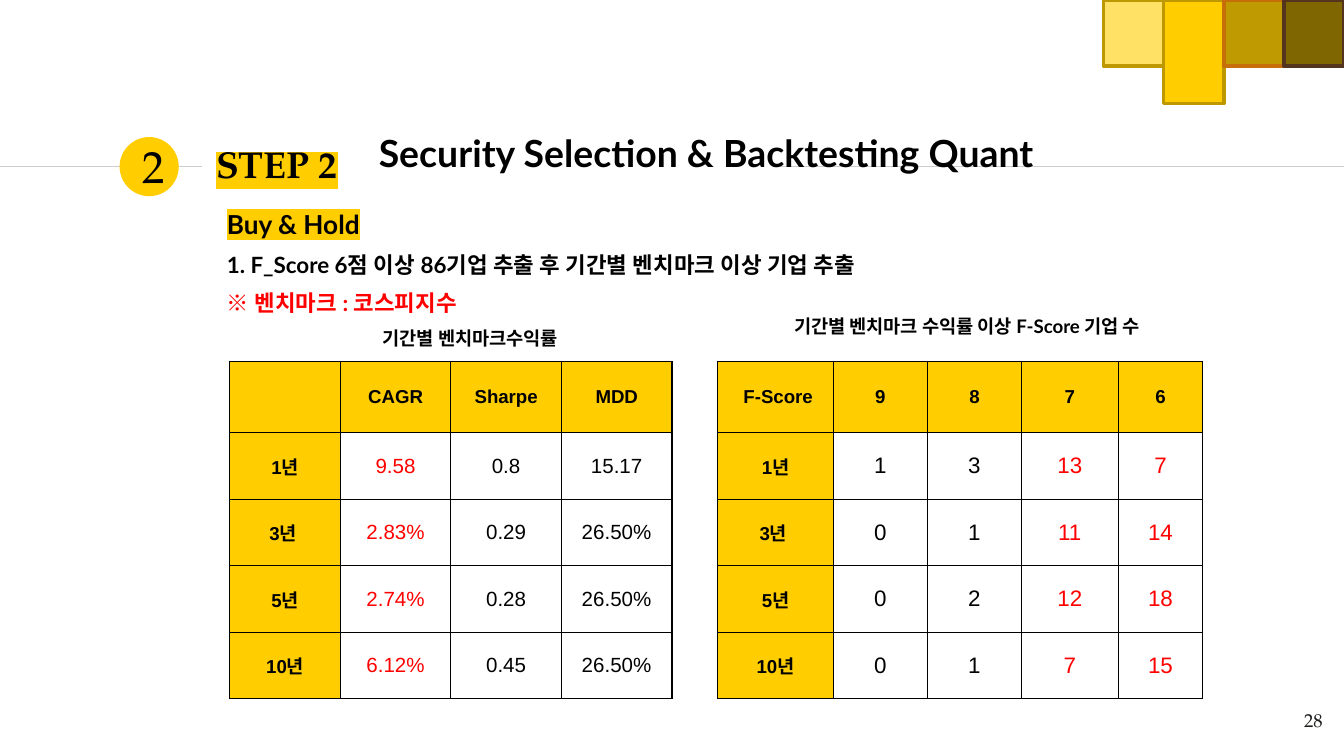
from dataclasses import dataclass

import pptx
import pptx.dml.color
import pptx.enum.shapes
import pptx.enum.text
import pptx.oxml.ns
import pptx.util
from lxml import etree

Inches = pptx.util.Inches
Pt = pptx.util.Pt
Align = pptx.enum.text.PP_ALIGN
Anchor = pptx.enum.text.MSO_ANCHOR
ShapeType = pptx.enum.shapes.MSO_SHAPE
qn = pptx.oxml.ns.qn

COLORS = {
    "yellow": "FFCD00", "black": "000000", "red": "FF0000",
    "rule": "CCCCCC", "number": "1D1D1B",
    "pale": "FFE166", "gold": "BF9A00", "olive": "806600",
    "gold edge": "BD9800", "orange edge": "C66F08", "brown edge": "54341D",
}
SERIF, SANS, TABLE_FONT = "TeX Gyre Pagella", "Lato", "Arial"


@dataclass
class Line:
    text: str
    size: float
    font: str = SANS
    color: str = "black"
    bold: bool = True
    highlight: bool = False
    indent: float = 0
    align: Align = Align.LEFT


@dataclass
class Tile:
    height: float
    fill: str
    edge: str


@dataclass
class Grid:
    left: float
    columns: list[float]
    rows: list[list[str]]
    value_size: float
    red_columns: tuple[int, ...]


def rgb(name: str) -> pptx.dml.color.RGBColor:
    return pptx.dml.color.RGBColor.from_string(COLORS[name])


def write_line(paragraph, line: Line) -> None:
    paragraph.alignment = line.align
    if line.indent:
        properties = paragraph._p.get_or_add_pPr()
        properties.set("marL", str(Inches(line.indent)))
        properties.set("indent", "0")
    run = paragraph.add_run()
    run.text = line.text
    run.font.size = Pt(line.size)
    run.font.bold = line.bold
    run.font.name = line.font
    run.font.color.rgb = rgb(line.color)
    if line.font == SANS:
        # Korean text takes the same typeface
        etree.SubElement(run._r.rPr, qn("a:ea"), typeface=SANS)
    if line.highlight:
        highlight = etree.Element(qn("a:highlight"))
        etree.SubElement(highlight, qn("a:srgbClr"), val=COLORS["yellow"])
        run._r.rPr.find(qn("a:solidFill")).addnext(highlight)


def add_text(slide, left: float, top: float, width: float, height: float,
             lines: list[Line], anchor: Anchor = Anchor.TOP,
             inset: float = 0.1, wrap: bool = True) -> None:
    shape = slide.shapes.add_textbox(
        Inches(left), Inches(top), Inches(width), Inches(height))
    frame = shape.text_frame
    frame.word_wrap = wrap
    frame.vertical_anchor = anchor
    frame.margin_left = frame.margin_right = Inches(0.1)
    frame.margin_top = frame.margin_bottom = Inches(inset)
    for index, line in enumerate(lines):
        paragraph = frame.add_paragraph() if index else frame.paragraphs[0]
        if index:
            paragraph.space_before = Pt(6)
        write_line(paragraph, line)


def add_rule(slide, start: float, end: float) -> None:
    connector = slide.shapes.add_connector(
        pptx.enum.shapes.MSO_CONNECTOR.STRAIGHT,
        Inches(start), Inches(1.24), Inches(end), Inches(1.24))
    connector.line.color.rgb = rgb("rule")
    connector.line.width = Pt(0.75)
    etree.SubElement(connector._element.spPr, qn("a:effectLst"))


def add_filled_shape(slide, kind: ShapeType, left: float, top: float,
                     width: float, height: float, fill: str,
                     edge: str = "") -> None:
    shape = slide.shapes.add_shape(
        kind, Inches(left), Inches(top), Inches(width), Inches(height))
    shape.shadow.inherit = False
    shape.fill.solid()
    shape.fill.fore_color.rgb = rgb(fill)
    if edge:
        shape.line.color.rgb = rgb(edge)
        shape.line.width = Pt(2)
    else:
        shape.line.fill.background()


def add_borders(cell) -> None:
    properties = cell._tc.get_or_add_tcPr()
    for side in ("a:lnL", "a:lnR", "a:lnT", "a:lnB"):
        border = etree.SubElement(properties, qn(side), w=str(Pt(0.75)))
        fill = etree.SubElement(border, qn("a:solidFill"))
        etree.SubElement(fill, qn("a:srgbClr"), val=COLORS["black"])


def add_grid(slide, grid: Grid) -> None:
    header_height, total_height = 0.53, 2.51
    row_height = (total_height - header_height) / (len(grid.rows) - 1)
    table = slide.shapes.add_table(
        len(grid.rows), len(grid.columns), Inches(grid.left), Inches(2.69),
        Inches(sum(grid.columns)), Inches(total_height)).table
    for column, width in zip(table.columns, grid.columns):
        column.width = Inches(width)
    for r, values in enumerate(grid.rows):
        table.rows[r].height = Inches(row_height if r else header_height)
        for c, value in enumerate(values):
            cell = table.cell(r, c)
            is_label = r == 0 or c == 0
            cell.vertical_anchor = Anchor.MIDDLE
            cell.margin_left = cell.margin_right = Inches(0.07)
            cell.margin_top = cell.margin_bottom = Inches(0.02)
            add_borders(cell)
            if is_label:
                cell.fill.solid()
                cell.fill.fore_color.rgb = rgb("yellow")
            else:
                cell.fill.background()
            if not value:
                continue
            paragraph = cell.text_frame.paragraphs[0]
            if c == 0:
                paragraph.line_spacing = 1.03
            is_red = not is_label and c in grid.red_columns
            write_line(paragraph, Line(
                value, 10 if is_label else grid.value_size, TABLE_FONT,
                "red" if is_red else "black", is_label, align=Align.CENTER))


TILES = [
    Tile(0.49, "pale", "gold edge"),
    Tile(0.77, "yellow", "gold edge"),
    Tile(0.49, "gold", "orange edge"),
    Tile(0.49, "olive", "brown edge"),
]
BENCHMARK = Grid(1.71, [3.29 / 4] * 4, [
    ["", "CAGR", "Sharpe", "MDD"],
    ["1년", "9.58", "0.8", "15.17"],
    ["3년 ", "2.83%", "0.29", "26.50%"],
    ["5년", "2.74%", "0.28", "26.50%"],
    ["10년", "6.12%", "0.45", "26.50%"],
], 11, (1,))
COMPANY_COUNT = Grid(5.34, [0.86, 0.7, 0.7, 0.72, 0.63], [
    [" F-Score", "9", "8", "7", "6"],
    ["1년", "1", "3", "13", "7"],
    ["3년 ", "0", "1", "11", "14"],
    ["5년", "0", "2", "12", "18"],
    ["10년", "0", "1", "7", "15"],
], 12, (3, 4))


def main() -> None:
    presentation = pptx.Presentation()
    presentation.slide_width = Inches(10)
    presentation.slide_height = Inches(10 * 9 / 16)
    slide = presentation.slides.add_slide(presentation.slide_layouts[6])

    # Heading band
    add_rule(slide, 0, 1.5)
    add_filled_shape(slide, ShapeType.OVAL, 0.89, 1.02, 0.44, 0.44, "yellow")
    add_rule(slide, 5.76, 10)
    add_text(slide, 1.51, 0.98, 4.24, 0.48,
             [Line("STEP 2", 20, SERIF, highlight=True)], Anchor.MIDDLE)
    add_text(slide, 2.64, 0.87, 5.25, 0.59,
             [Line("Security Selection & Backtesting Quant", 20, indent=0.08)])

    # Corner tiles
    tile_width = (10 - 8.21) / len(TILES)
    for index, tile in enumerate(TILES):
        add_filled_shape(slide, ShapeType.RECTANGLE,
                         8.21 + tile_width * index, 0,
                         tile_width, tile.height, tile.fill, tile.edge)

    # Strategy text and table captions
    add_text(slide, 1.51, 1.45, 7.45, 3.4, [
        Line("Buy & Hold", 14, highlight=True, indent=0.08),
        Line("1. F_Score 6점 이상 86기업 추출 후 기간별 벤치마크 이상 기업 추출",
             12, indent=0.08),
        Line("※ 벤치마크 : 코스피지수", 12, color="red", indent=0.08),
        Line("기간별 벤치마크수익률", 10, indent=1.24),
    ])
    add_text(slide, 5.42, 2.26, 3.54, 0.47, [
        Line("기간별 벤치마크 수익률 이상 F-Score 기업 수", 10, indent=0.39)])

    # Tables
    add_grid(slide, BENCHMARK)
    add_grid(slide, COMPANY_COUNT)

    # Step number and page number
    add_text(slide, 0.96, 0.98, 0.33, 0.5,
             [Line("2", 24, SERIF, bold=False, align=Align.CENTER)],
             inset=0.05, wrap=False)
    add_text(slide, 9.34, 5.19, 0.6, 0.43, [
        Line("28", 10, SERIF, "number", False, align=Align.RIGHT)])

    presentation.save("out.pptx")


if __name__ == "__main__":
    main()
